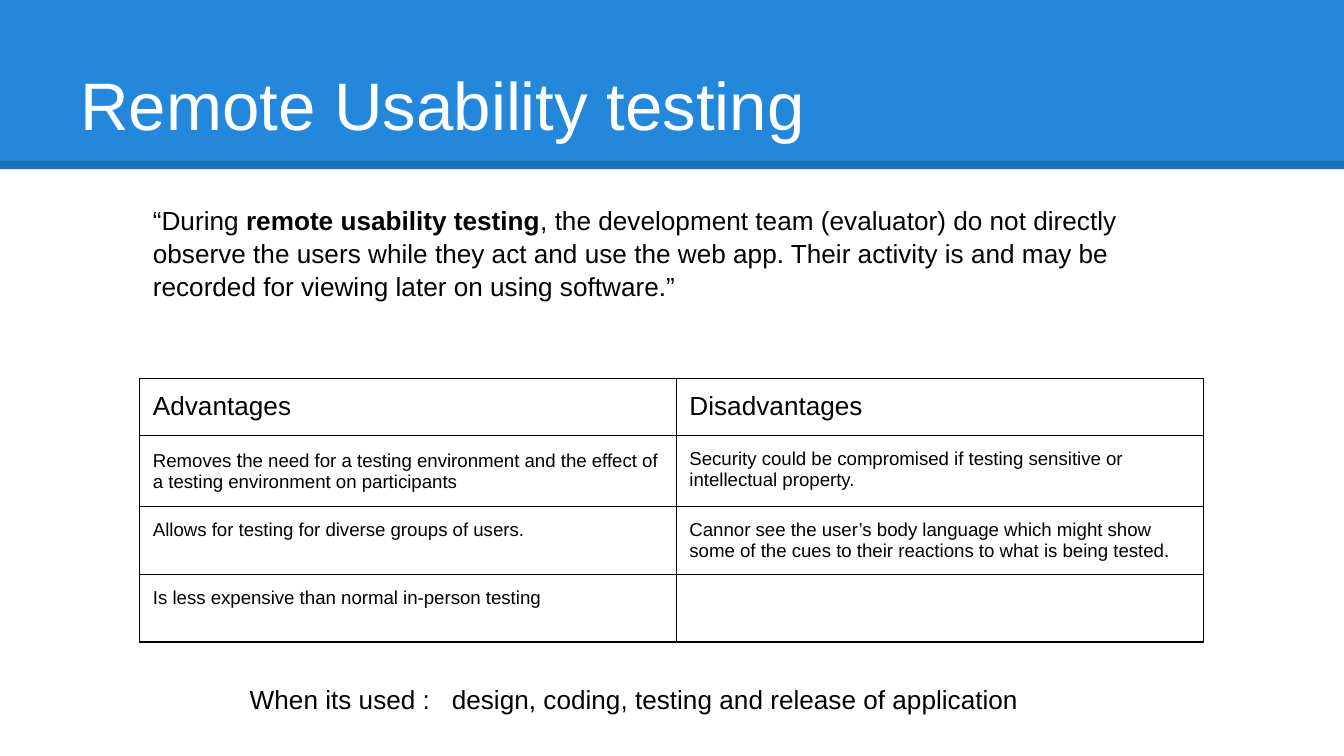
from dataclasses import dataclass

from lxml import etree
from pptx import Presentation
from pptx.dml import color
from pptx.enum import shapes, text
from pptx.oxml import ns
from pptx.slide import Slide
from pptx.table import _Cell as Cell
from pptx.text.text import TextFrame
from pptx.util import Cm, Pt


@dataclass(frozen=True)
class Theme:
    font: str = "Arial"
    blue: str = "2388DB"
    black: str = "000000"
    white: str = "FFFFFF"
    title: float = 36
    body: float = 14
    cell: float = 10
    cell_large: float = 11
    inset: float = 0.25
    border: float = 0.75
    rule: float = 4.5
    rule_opacity: int = 15


@dataclass(frozen=True)
class Span:
    words: str
    size: float
    bold: bool = False
    ink: str = Theme.black


@dataclass(frozen=True)
class Area:
    left: float
    top: float
    width: float
    height: float

    def lengths(self) -> tuple[Cm, Cm, Cm, Cm]:
        return Cm(self.left), Cm(self.top), Cm(self.width), Cm(self.height)


@dataclass(frozen=True)
class Note:
    area: Area
    spans: tuple[Span, ...]
    spacing: float = 1.0
    tab: float | None = None


THEME = Theme()
PAGE_WIDTH, PAGE_HEIGHT = 25.4, 14.29
BAND_HEIGHT, RULE_TOP = 3.2, 3.12
TITLE_AREA = Area(1.27, 0.58, 22.86, 2.39)
TABLE_LEFT, TABLE_TOP = 2.64, 7.16
COLUMN_WIDTHS = (10.14, 9.96)
ROW_HEIGHTS = (1.07, 1.34, 1.29, 1.23)


def cell_span(words: str) -> tuple[Span, ...]:
    return (Span(words, THEME.cell),)


ROWS = (
    ((Span("Advantages", THEME.body),), (Span("Disadvantages", THEME.body),)),
    (
        (
            Span("Removes ", THEME.cell),
            Span("t", THEME.cell_large),
            Span("he need for a testing environment and the effect of "
                 "a testing environment on participants", THEME.cell),
        ),
        cell_span("Security could be compromised if testing sensitive or "
                  "intellectual property."),
    ),
    (
        cell_span("Allows for testing for diverse groups of users."),
        cell_span("Cannor see the user’s body language which might show "
                  "some of the cues to their reactions to what is being tested."),
    ),
    (cell_span("Is less expensive than normal in-person testing"), ()),
)

NOTES = (
    Note(
        Area(4.47, 12.67, 16.46, 1.09),
        (Span("When its used :\tdesign, coding, testing and release of application",
              THEME.body),),
        tab=3.82,
    ),
    Note(
        Area(TABLE_LEFT, 3.58, 20.24, 2.72),
        (
            Span("“During", THEME.body),
            Span(" remote usability testing", THEME.body, bold=True),
            Span(", the development team (evaluator) do not directly observe the users "
                 "while they act and use the web app. Their activity is and may be "
                 "recorded for viewing later on using software.”", THEME.body),
        ),
        spacing=1.05,
    ),
)


def set_insets(holder: TextFrame | Cell) -> None:
    holder.margin_left = holder.margin_right = Cm(THEME.inset)
    holder.margin_top = holder.margin_bottom = Cm(THEME.inset)


def write_spans(frame: TextFrame, spans: tuple[Span, ...], spacing: float = 1.0) -> None:
    para = frame.paragraphs[0]
    para.alignment = text.PP_ALIGN.LEFT
    para.line_spacing = spacing
    for span in spans:
        run = para.add_run()
        run.text = span.words
        run.font.name = THEME.font
        run.font.size = Pt(span.size)
        run.font.bold = span.bold
        run.font.color.rgb = color.RGBColor.from_string(span.ink)


def draw_header(page: Slide) -> None:
    band = page.shapes.add_shape(
        shapes.MSO_SHAPE.RECTANGLE, 0, 0, Cm(PAGE_WIDTH), Cm(BAND_HEIGHT))
    band.shadow.inherit = False
    band.fill.solid()
    band.fill.fore_color.rgb = color.RGBColor.from_string(THEME.blue)
    band.line.fill.background()

    rule = page.shapes.add_connector(
        shapes.MSO_CONNECTOR.STRAIGHT, 0, Cm(RULE_TOP), Cm(PAGE_WIDTH), Cm(RULE_TOP))
    rule.line.width = Pt(THEME.rule)
    rule.line.color.rgb = color.RGBColor.from_string(THEME.black)
    properties = rule.element.spPr
    ink = properties.find(".//" + ns.qn("a:srgbClr"))
    etree.SubElement(ink, ns.qn("a:alpha"), val=str(THEME.rule_opacity * 1000))
    etree.SubElement(properties, ns.qn("a:effectLst"))


def draw_title(page: Slide, words: str) -> None:
    title = page.shapes.title
    title.left, title.top, title.width, title.height = TITLE_AREA.lengths()
    frame = title.text_frame
    frame.auto_size = text.MSO_AUTO_SIZE.NONE
    frame.vertical_anchor = text.MSO_ANCHOR.BOTTOM
    set_insets(frame)
    write_spans(frame, (Span(words, THEME.title, ink=THEME.white),))
    page.shapes.element.append(title.element)


def draw_borders(cell: Cell) -> None:
    properties = cell._tc.get_or_add_tcPr()
    for index, side in enumerate(("lnL", "lnR", "lnT", "lnB")):
        edge = etree.Element(ns.qn(f"a:{side}"), w=str(Pt(THEME.border)))
        fill = etree.SubElement(edge, ns.qn("a:solidFill"))
        etree.SubElement(fill, ns.qn("a:srgbClr"), val=THEME.black)
        properties.insert(index, edge)


def draw_table(page: Slide) -> None:
    area = Area(TABLE_LEFT, TABLE_TOP, sum(COLUMN_WIDTHS), sum(ROW_HEIGHTS))
    table = page.shapes.add_table(
        len(ROW_HEIGHTS), len(COLUMN_WIDTHS), *area.lengths()).table
    table.first_row = table.horz_banding = False
    for column, width in zip(table.columns, COLUMN_WIDTHS):
        column.width = Cm(width)
    for row, height, contents in zip(table.rows, ROW_HEIGHTS, ROWS):
        row.height = Cm(height)
        for cell, spans in zip(row.cells, contents):
            cell.fill.background()
            set_insets(cell)
            draw_borders(cell)
            write_spans(cell.text_frame, spans)


def draw_note(page: Slide, note: Note) -> None:
    box = page.shapes.add_textbox(*note.area.lengths())
    frame = box.text_frame
    frame.word_wrap = True
    set_insets(frame)
    write_spans(frame, note.spans, note.spacing)
    if note.tab is not None:
        properties = frame.paragraphs[0]._p.get_or_add_pPr()
        stops = etree.SubElement(properties, ns.qn("a:tabLst"))
        etree.SubElement(stops, ns.qn("a:tab"), pos=str(Cm(note.tab)), algn="l")


def main() -> None:
    deck = Presentation()
    deck.slide_width, deck.slide_height = Cm(PAGE_WIDTH), Cm(PAGE_HEIGHT)
    page = deck.slides.add_slide(deck.slide_layouts.get_by_name("Title Only"))
    draw_header(page)
    draw_title(page, "Remote Usability testing")
    draw_table(page)
    for note in NOTES:
        draw_note(page, note)
    deck.save("out.pptx")


if __name__ == "__main__":
    main()
